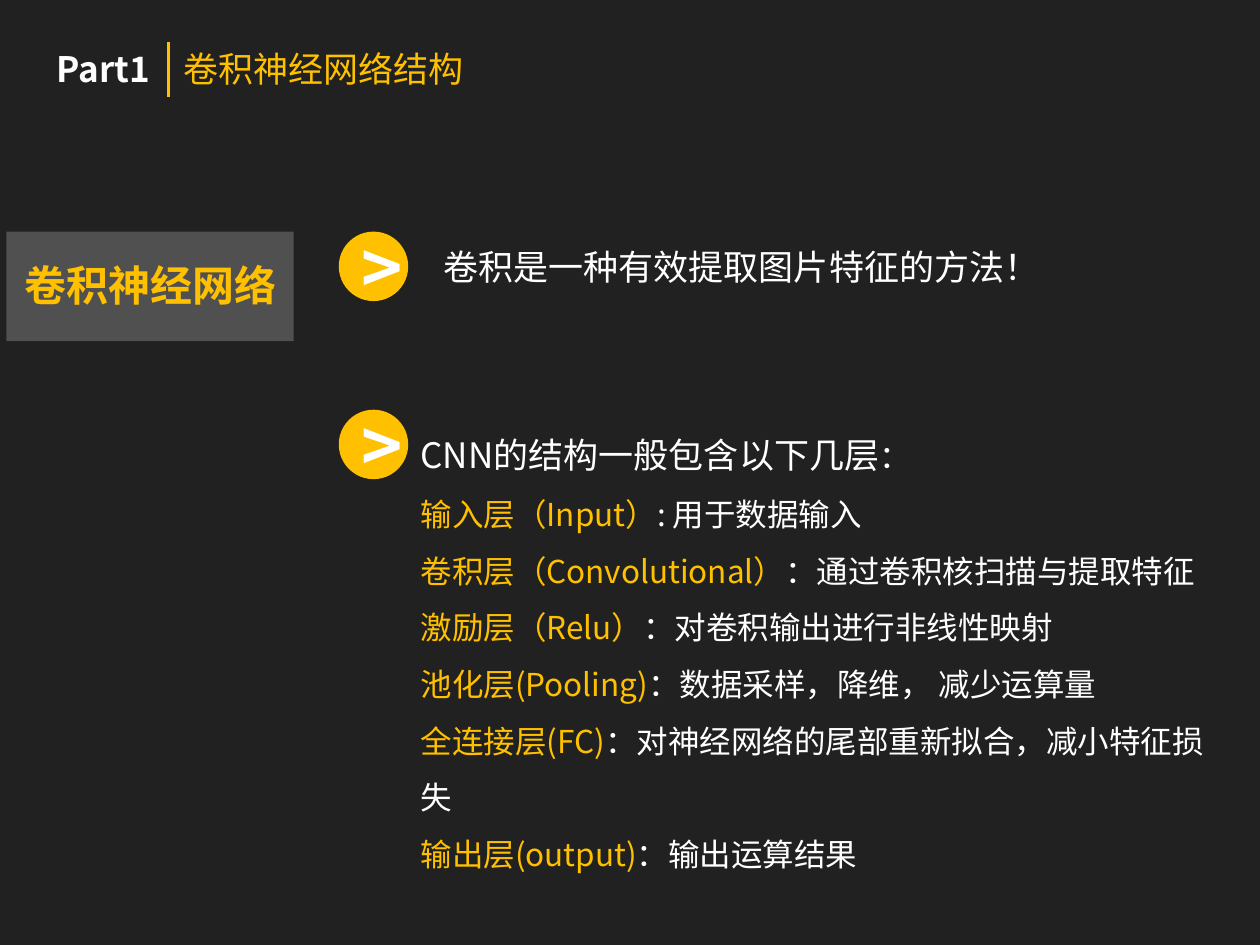
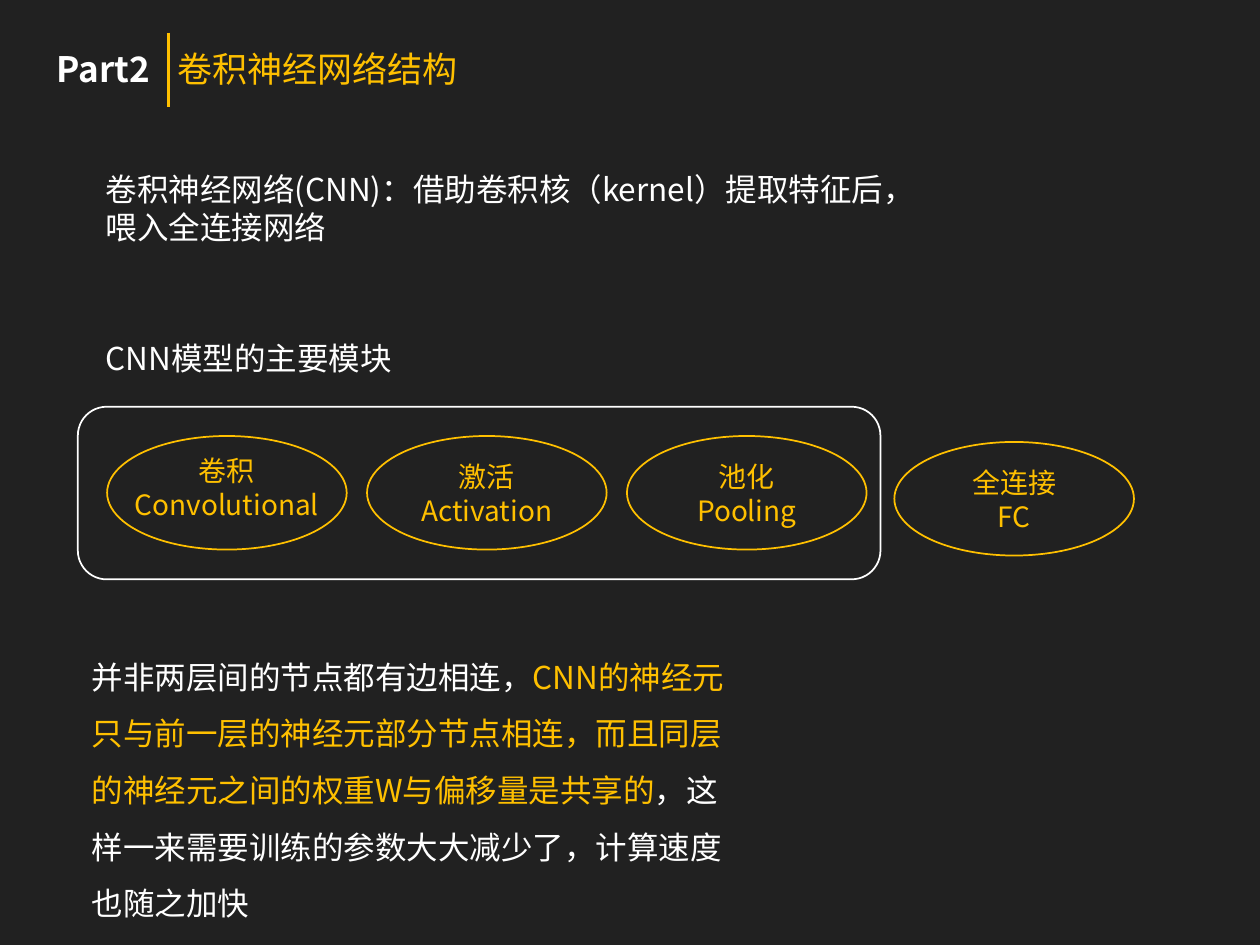
from lxml import etree
from pptx import Presentation
from pptx.dml.color import RGBColor
from pptx.enum.shapes import MSO_CONNECTOR as Line, MSO_SHAPE as Shape
from pptx.enum.text import MSO_ANCHOR as Anchor, MSO_AUTO_SIZE as AutoSize, PP_ALIGN as Align
from pptx.oxml.ns import qn
from pptx.util import Cm, Pt

FONT = "Noto Sans CJK SC"
DARK, GREY, GOLD, WHITE = "212121", "505050", "FFC000", "FFFFFF"

TITLE = "卷积神经网络结构"
TOPIC = "卷积神经网络"
CLAIM = "卷积是一种有效提取图片特征的方法！"
LAYERS_HEAD = "CNN的结构一般包含以下几层"
LAYERS = [
    ("输入层（Input）", ": 用于数据输入"),
    ("卷积层（Convolutional）", "：通过卷积核扫描与提取特征"),
    ("激励层（Relu）", "：对卷积输出进行非线性映射"),
    ("池化层(Pooling)", "：数据采样，降维， 减少运算量"),
    ("全连接层(FC)", "：对神经网络的尾部重新拟合，减小特征损失"),
    ("输出层(output)", "：输出运算结果"),
]
BULLET_TOPS = [4.67, 8.26]

INTROS = [
    (3.3, 1.8, "卷积神经网络(CNN)：借助卷积核（kernel）提取特征后，喂入全连接网络"),
    (6.71, 1.02, "CNN模型的主要模块"),
]
MODULES = [
    ("卷积", "Convolutional", 2.16, 8.79, 0.23, 4.32),
    ("激活", "Activation", 7.4, 8.79, 0.35, 3.25),
    ("池化", "Pooling", 12.64, 8.79, 0.35, 2.59),
    ("全连接", "FC", 18.03, 8.91, 0.35, 2.24),
]
MODULE_W, MODULE_H, LABEL_H = 4.83, 2.29, 1.63
SHARING = [
    ("并非两层间的节点都有边相连，", WHITE),
    ("CNN的神经元只与前一层的神经元部分节点相连，而且同层的神经元之间的权重W与偏移量是共享的", GOLD),
    ("，这样一来需要训练的参数大大减少了，计算速度也随之加快", WHITE),
]


def rgb(value):
    return RGBColor.from_string(value)


def write(tf, paragraphs, size, bold=False, align=None, spacing=None):
    for i, runs in enumerate(paragraphs):
        p = tf.add_paragraph() if i else tf.paragraphs[0]
        p.alignment, p.line_spacing = align, spacing
        p.font.name, p.font.size, p.font.bold = FONT, Pt(size), bold
        for text, color in runs:
            r = p.add_run()
            r.text = text
            r.font.color.rgb = rgb(color)
            r.font.name, r.font.size, r.font.bold = FONT, Pt(size), bold
            etree.SubElement(r.font._element, qn("a:ea"), typeface=FONT)


def add_text(s, box, paragraphs, size, wrap=False, **style):
    tf = s.shapes.add_textbox(*map(Cm, box)).text_frame
    tf.word_wrap = wrap
    tf.auto_size = AutoSize.SHAPE_TO_FIT_TEXT
    write(tf, paragraphs, size, **style)
    return tf


def add_shape(s, kind, box, fill=None, line=None):
    sp = s.shapes.add_shape(kind, *map(Cm, box))
    sp.shadow.inherit = False
    if fill:
        sp.fill.solid()
        sp.fill.fore_color.rgb = rgb(fill)
    else:
        sp.fill.background()
    if line:
        sp.line.color.rgb = rgb(line)
        sp.line.width = Pt(1)
    else:
        sp.line.fill.background()
    return sp


def add_slide(prs, part, title_left, rule_top, rule_bottom):
    s = prs.slides.add_slide(prs.slide_layouts[6])
    s.background.fill.solid()
    s.background.fill.fore_color.rgb = rgb(DARK)
    add_text(s, (0.89, 0.84, 2.44, 1.12), [[(part, WHITE)]], 20, bold=True)
    rule = s.shapes.add_connector(Line.STRAIGHT, Cm(3.4), Cm(rule_top), Cm(3.4), Cm(rule_bottom))
    rule.line.color.rgb = rgb(GOLD)
    rule.line.width = Pt(1.5)
    etree.SubElement(rule._element.spPr, qn("a:effectLst"))
    add_text(s, (title_left, 0.84, 6.22, 1.12), [[(TITLE, GOLD)]], 20)
    return s


def build_structure(prs):
    s = add_slide(prs, "Part1", 3.45, 0.84, 1.96)
    add_shape(s, Shape.RECTANGLE, (0.13, 4.67, 5.79, 2.21), fill=GREY)
    add_text(s, (0.25, 5.11, 5.64, 1.27), [[(TOPIC, GOLD)]], 24, bold=True)
    lines = [[(LAYERS_HEAD, WHITE), ("：", WHITE)]]
    lines += [[(name, GOLD), (role, WHITE)] for name, role in LAYERS]
    tf = add_text(s, (8.23, 8.2, 16.89, 9.63), lines, 18, wrap=True, spacing=1.5)
    tf.paragraphs[0].runs[0].font.size = Pt(20)
    add_text(s, (8.69, 4.83, 12.62, 1.12), [[(CLAIM, WHITE)]], 20)
    for top in BULLET_TOPS:
        sp = add_shape(s, Shape.OVAL, (6.83, top, 1.4, 1.4), fill=GOLD)
        sp.text_frame.vertical_anchor = Anchor.MIDDLE
        write(sp.text_frame, [[(">", WHITE)]], 40, bold=True, align=Align.CENTER)


def build_modules(prs):
    s = add_slide(prs, "Part2", 3.33, 0.66, 2.16)
    for top, height, text in INTROS:
        add_text(s, (1.88, top, 16.51, height), [[(text, WHITE)]], 18, wrap=True)
    for name, english, left, top, drop, width in MODULES:
        add_shape(s, Shape.OVAL, (left, top, MODULE_W, MODULE_H), line=GOLD)
        label = (left + (MODULE_W - width) / 2, top + drop, width, LABEL_H)
        add_text(s, label, [[(name, GOLD)], [(english, GOLD)]], 16, align=Align.CENTER)
    add_shape(s, Shape.ROUNDED_RECTANGLE, (1.57, 8.2, 16.18, 3.48), line=WHITE)
    add_text(s, (1.6, 12.75, 13.59, 6.02), [SHARING], 18, wrap=True, spacing=1.5)


def main():
    prs = Presentation()
    prs.slide_width, prs.slide_height = Cm(25.4), Cm(19.05)
    build_structure(prs)
    build_modules(prs)
    prs.save("out.pptx")


if __name__ == "__main__":
    main()
